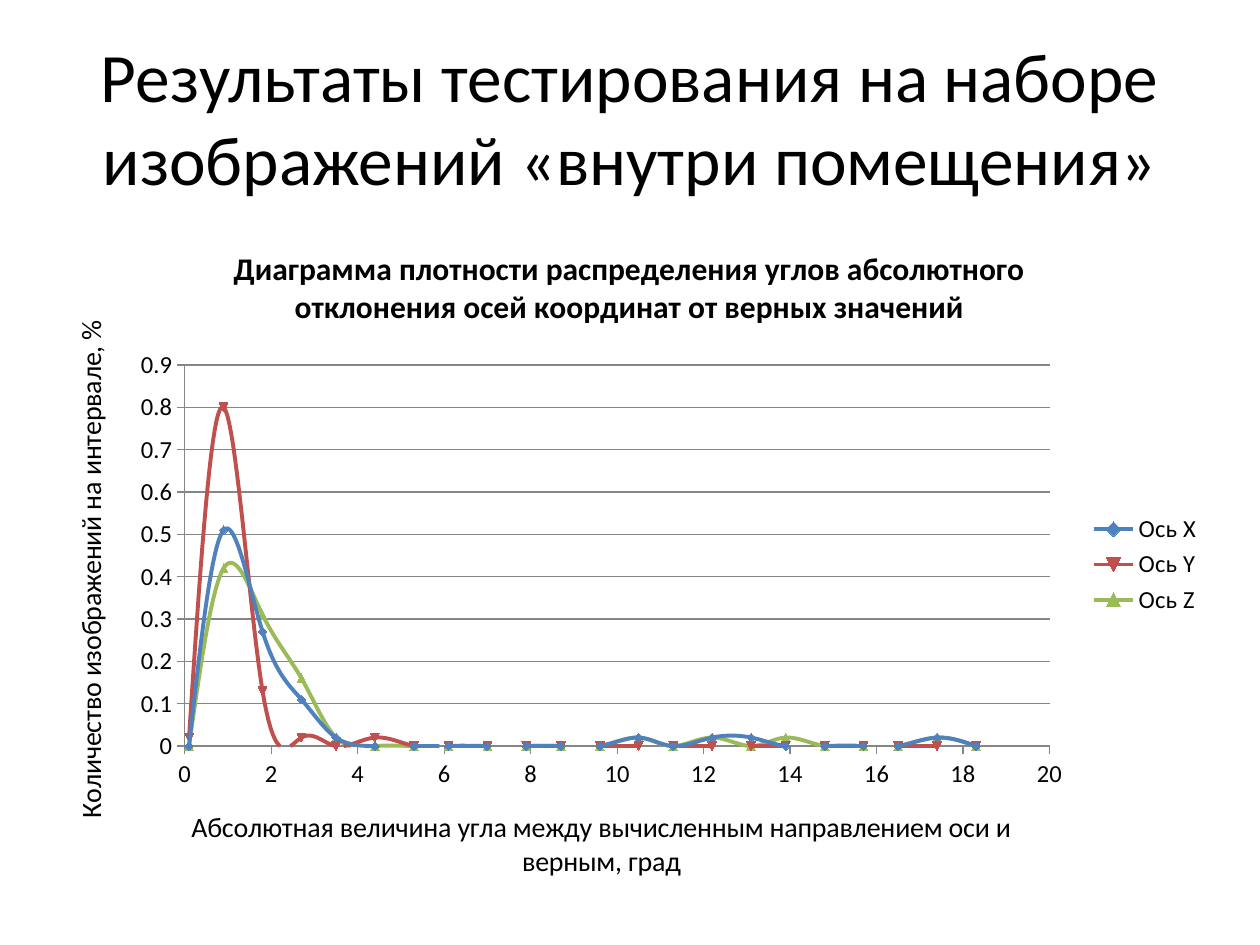
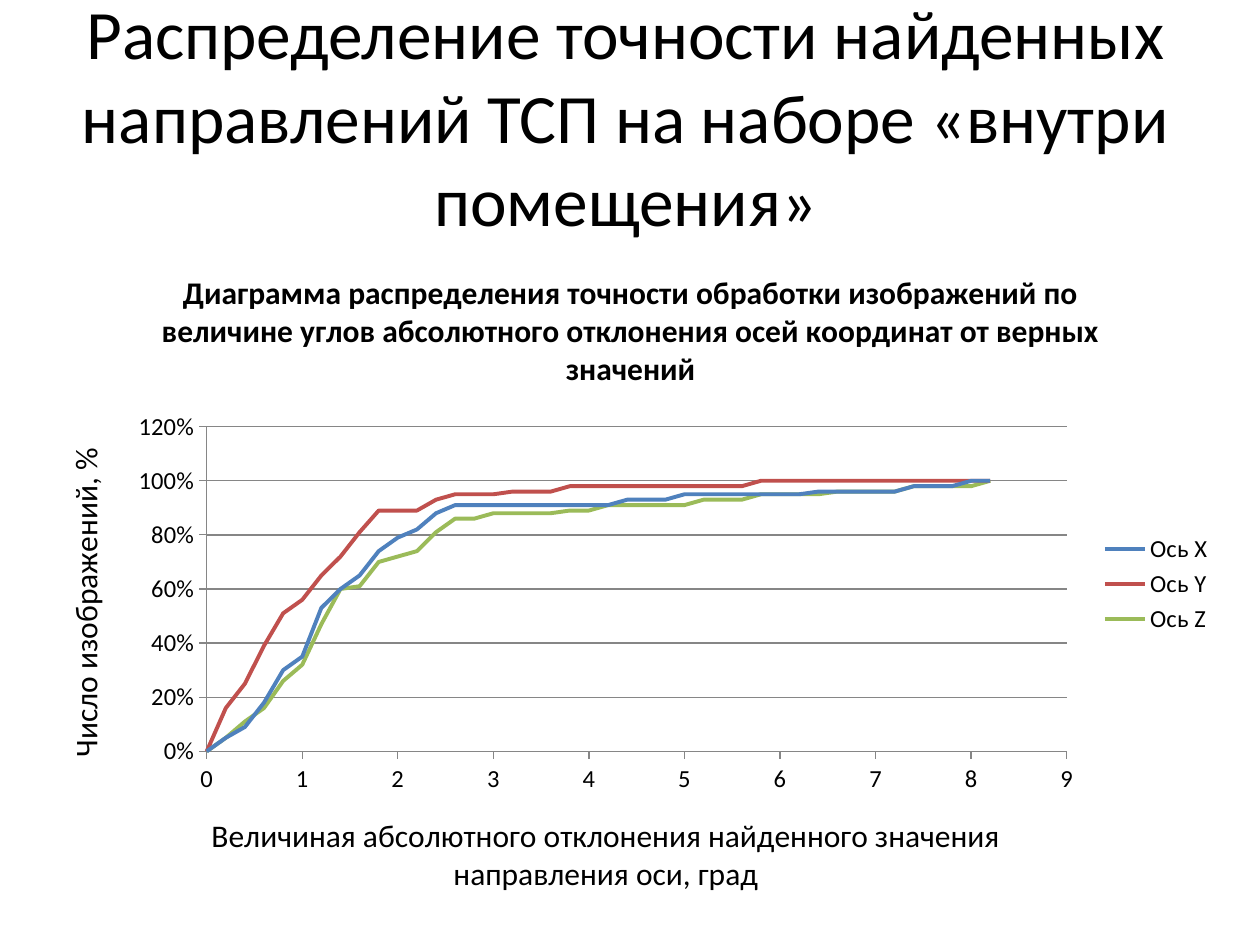
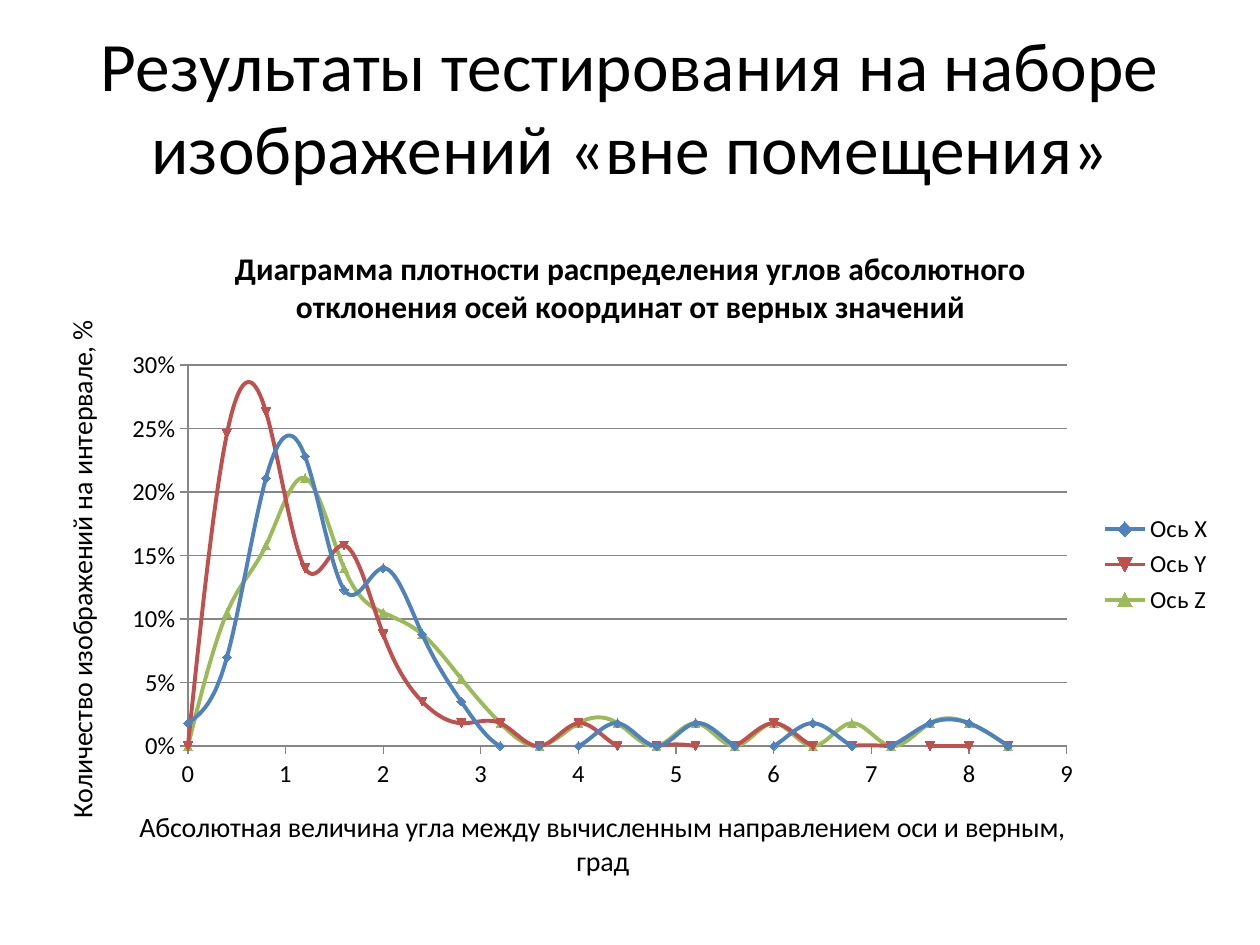
from pptx import Presentation
from pptx import util as u
from pptx.chart import data as chart_data
from pptx.dml.color import RGBColor
from pptx.enum import chart as chart_enum
from pptx.enum import text

BLACK = RGBColor(0x00, 0x00, 0x00)
GRID_GRAY = RGBColor(0x86, 0x86, 0x86)
AXIS_COLORS = {
    "Ось X": RGBColor(0x4F, 0x81, 0xBD),
    "Ось Y": RGBColor(0xC0, 0x50, 0x4D),
    "Ось Z": RGBColor(0x9B, 0xBB, 0x59),
}
FONT = "Calibri"
SMOOTH = chart_enum.XL_CHART_TYPE.XY_SCATTER_SMOOTH
STRAIGHT = chart_enum.XL_CHART_TYPE.XY_SCATTER_LINES_NO_MARKERS

DENSITY_TITLE = "Диаграмма плотности распределения углов абсолютного отклонения осей координат от верных значений"
DENSITY_X = "Абсолютная величина угла между вычисленным направлением оси и верным, град"
DENSITY_Y = "Количество изображений на интервале, %"
ACCURACY_TITLE = (
    "Диаграмма распределения точности обработки изображений по величине углов "
    "абсолютного отклонения осей координат от верных значений"
)
ACCURACY_X = "Величиная абсолютного отклонения найденного значения направления оси, град"
ACCURACY_Y = "Число изображений, %"

INDOOR_DENSITY = [
    [0, 0.51, 0.27, 0.11, 0.02, 0, 0, 0, 0, 0, 0, 0, 0.02, 0, 0.02, 0.02, 0, 0, 0, 0, 0.02, 0],
    [0.02, 0.8, 0.13, 0.02, 0, 0.02] + [0] * 16,
    [0, 0.42, 0.31, 0.16, 0.02, 0, 0, 0, 0, 0, 0, 0, 0.02, 0, 0.02, 0, 0.02, 0, 0, 0, 0.02, 0],
]
INDOOR_ACCURACY = [
    [0, 0.05, 0.09, 0.18, 0.3, 0.35, 0.53, 0.6, 0.65, 0.74, 0.79, 0.82, 0.88]
    + [0.91] * 9 + [0.93] * 3 + [0.95] * 7 + [0.96] * 5 + [0.98] * 3 + [1] * 2,
    [0, 0.16, 0.25, 0.39, 0.51, 0.56, 0.65, 0.72, 0.81, 0.89, 0.89, 0.89, 0.93]
    + [0.95] * 3 + [0.96] * 3 + [0.98] * 10 + [1] * 13,
    [0, 0.05, 0.11, 0.16, 0.26, 0.32, 0.47, 0.6, 0.61, 0.7, 0.72, 0.74, 0.81, 0.86, 0.86]
    + [0.88] * 4 + [0.89] * 2 + [0.91] * 5 + [0.93] * 3 + [0.95] * 4 + [0.96] * 4 + [0.98] * 4 + [1],
]
OUTDOOR_DENSITY = [
    [0.018, 0.07, 0.211, 0.228, 0.123, 0.14, 0.088, 0.035, 0, 0, 0,
     0.018, 0, 0.018, 0, 0, 0.018, 0, 0, 0.018, 0.018, 0],
    [0, 0.246, 0.263, 0.14, 0.158, 0.088, 0.035, 0.018, 0.018, 0, 0.018,
     0, 0, 0, 0, 0.018, 0, 0, 0, 0, 0, 0],
    [0, 0.105, 0.158, 0.211, 0.14, 0.105, 0.088, 0.053, 0.018, 0, 0.018,
     0.018, 0, 0.018, 0, 0.018, 0, 0.018, 0, 0.018, 0.018, 0],
]


class Deck:
    def __init__(self):
        self.presentation = Presentation()
        self.presentation.slide_width = u.Inches(10)
        self.presentation.slide_height = u.Inches(7.5)
        self.slide = None

    def style(self, font, size, bold=False):
        font.name = FONT
        font.size = u.Pt(size)
        font.bold = bold
        font.color.rgb = BLACK

    def set_text(self, text_frame, words, size, bold=False):
        text_frame.text = words
        paragraph = text_frame.paragraphs[0]
        paragraph.alignment = text.PP_ALIGN.CENTER
        self.style(paragraph.runs[0].font, size, bold)

    def add_slide(self, title, box):
        self.slide = self.presentation.slides.add_slide(self.presentation.slide_layouts[5])
        shape = self.slide.shapes.title
        shape.left, shape.top, shape.width, shape.height = map(u.Inches, box)
        text_frame = shape.text_frame
        text_frame.word_wrap = True
        text_frame.auto_size = text.MSO_AUTO_SIZE.NONE
        text_frame.vertical_anchor = text.MSO_ANCHOR.MIDDLE
        self.set_text(text_frame, title, 39.6)

    def format_axis(self, axis, title, title_size, maximum, step, number_format):
        self.set_text(axis.axis_title.text_frame, title, title_size)
        axis.minimum_scale = 0
        axis.maximum_scale = maximum
        axis.major_unit = step
        axis.major_tick_mark = chart_enum.XL_TICK_MARK.OUTSIDE
        axis.minor_tick_mark = chart_enum.XL_TICK_MARK.NONE
        axis.tick_labels.number_format = number_format
        axis.tick_labels.number_format_is_linked = False
        self.style(axis.tick_labels.font, 14)
        axis.format.line.color.rgb = GRID_GRAY
        axis.format.line.width = u.Pt(0.75)

    def add_scatter(self, kind, box, title, x_axis, y_axis, angles, shares):
        data = chart_data.XyChartData()
        for name, values in zip(AXIS_COLORS, shares):
            series = data.add_series(name)
            for angle, share in zip(angles, values):
                series.add_data_point(angle, share)
        chart = self.slide.shapes.add_chart(kind, *map(u.Inches, box), data).chart
        self.style(chart.font, 10)
        chart.has_title = True
        self.set_text(chart.chart_title.text_frame, title, 18, True)
        chart.has_legend = True
        chart.legend.position = chart_enum.XL_LEGEND_POSITION.RIGHT
        chart.legend.include_in_layout = False
        self.style(chart.legend.font, 14)

        self.format_axis(chart.category_axis, *x_axis)
        self.format_axis(chart.value_axis, *y_axis)
        chart.category_axis.has_major_gridlines = False
        chart.value_axis.has_major_gridlines = True
        grid_line = chart.value_axis.major_gridlines.format.line
        grid_line.color.rgb = GRID_GRAY
        grid_line.width = u.Pt(0.75)
        body = chart.value_axis.axis_title.text_frame._txBody.bodyPr
        body.set("rot", "-5400000")
        body.set("vert", "horz")

        plot = chart.plots[0]
        plot.vary_by_categories = False
        for series in plot.series:
            series.format.line.color.rgb = AXIS_COLORS[series.name]
            series.format.line.width = u.Pt(2.25)
            for smooth in series._element.xpath("c:smooth"):
                smooth.set("val", "1" if kind == SMOOTH else "0")


def even_angles(start, step, count):
    return [round(start + step * index, 1) for index in range(count)]


def main():
    deck = Deck()

    deck.add_slide("Результаты тестирования на наборе изображений «внутри помещения»", (0.5, 0.3, 9, 1.25))
    deck.add_scatter(
        SMOOTH, (0.35, 1.75, 9.29, 5.46), DENSITY_TITLE,
        (DENSITY_X, 16, 20, 2, "General"), (DENSITY_Y, 16, 0.9, 0.1, "General"),
        even_angles(0.07, 0.866, 22), INDOOR_DENSITY)

    deck.add_slide(
        "Распределение точности найденных направлений ТСП на наборе «внутри помещения»",
        (0.28, 0.05, 9.37, 1.73))
    deck.add_scatter(
        STRAIGHT, (0.28, 1.94, 9.45, 5.39), ACCURACY_TITLE,
        (ACCURACY_X, 18, 9, 1, "General"), (ACCURACY_Y, 18, 1.2, 0.2, "0%"),
        even_angles(0, 0.2, 42), INDOOR_ACCURACY)

    deck.add_slide("Результаты тестирования на наборе изображений «вне помещения»", (0.5, 0.21, 9, 1.25))
    deck.add_scatter(
        SMOOTH, (0.28, 1.75, 9.45, 5.46), DENSITY_TITLE,
        (DENSITY_X, 16, 9, 1, "General"), (DENSITY_Y, 16, 0.3, 0.05, "0%"),
        even_angles(0, 0.4, 22), OUTDOOR_DENSITY)

    deck.presentation.save("out.pptx")


if __name__ == "__main__":
    main()
